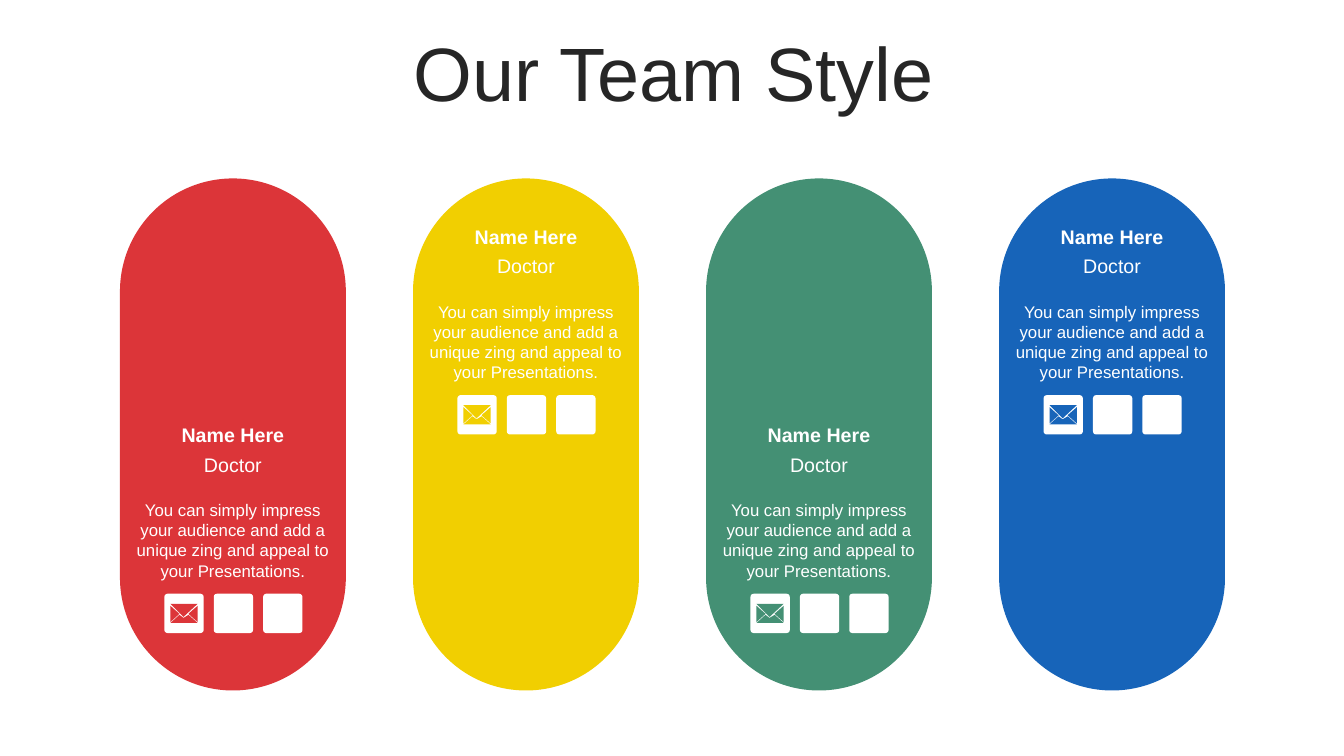
import pptx
import pptx.dml.color
import pptx.enum.shapes
import pptx.enum.text
import pptx.util

Inches = pptx.util.Inches
Pt = pptx.util.Pt
ROUNDED = pptx.enum.shapes.MSO_SHAPE.ROUNDED_RECTANGLE
TOP = pptx.enum.text.MSO_ANCHOR.TOP
MIDDLE = pptx.enum.text.MSO_ANCHOR.MIDDLE

COLORS = {"red": "DC3539", "yellow": "F1CF01", "green": "449074",
          "blue": "1764B9", "white": "FFFFFF", "title": "262626"}
TITLE = "Our Team Style"
ABOUT = ("You can simply impress your audience and add a unique zing "
         "and appeal to your Presentations.")

# Card colour and top of the member's text, in inches
CARDS = [("red", 4.18), ("yellow", 2.21), ("green", 4.18), ("blue", 2.21)]
# Text, offset from the text top, height, size, bold, anchor
LINES = [("Name Here", 0, 0.27, 14, True, MIDDLE),
         ("Doctor", 0.29, 0.27, 14, False, MIDDLE),
         (ABOUT, 0.73, 0.91, 12, False, TOP)]
# Envelope parts, in hundredths of an inch from the tile corner
ENVELOPE = [
    [(24, 21), (19, 24), (15, 21), (6, 29), (33, 29)],
    [(33, 12), (25, 19), (24, 20), (33, 28)],
    [(6, 12), (6, 28), (15, 20)],
    [(6, 10), (19, 23), (33, 10)],
]

CARD_LEFT, CARD_TOP, CARD_WIDTH, CARD_HEIGHT = 1.19, 1.77, 2.24, 5.08
CARD_STEP = (9.91 - CARD_LEFT) / 3
TILE_COUNT, TILE_SIZE, TILE_STEP = 3, 0.39, 0.49
TILE_LEFT, TILE_TOP = 0.44, 1.71


def color(name):
    return pptx.dml.color.RGBColor.from_string(COLORS[name])


def paint(shape, name):
    shape.shadow.inherit = False
    shape.fill.solid()
    shape.fill.fore_color.rgb = color(name)
    shape.line.fill.background()


def add_rounded(page, left, top, width, height, radius, name):
    """Radius is a share of the shorter side."""
    shape = page.shapes.add_shape(
        ROUNDED, Inches(left), Inches(top), Inches(width), Inches(height))
    shape.adjustments[0] = radius
    paint(shape, name)


def write(box, text, size, name, bold=False, anchor=MIDDLE):
    frame = box.text_frame
    frame.word_wrap = True
    frame.vertical_anchor = anchor
    para = frame.paragraphs[0]
    para.text = text
    para.alignment = pptx.enum.text.PP_ALIGN.CENTER
    para.font.name = "Arial"
    para.font.size = Pt(size)
    para.font.bold = bold
    para.font.color.rgb = color(name)
    return para


def add_envelope(page, left, top, name):
    first, *others = ENVELOPE
    builder = page.shapes.build_freeform(*first[0], scale=Inches(0.01))
    builder.add_line_segments(first[1:], close=True)
    for part in others:
        builder.move_to(*part[0])
        builder.add_line_segments(part[1:], close=True)
    paint(builder.convert_to_shape(Inches(left), Inches(top)), name)


def add_member(page, left, top, name):
    add_rounded(page, left, CARD_TOP, CARD_WIDTH, CARD_HEIGHT, 0.5, name)
    for text, offset, height, size, bold, anchor in LINES:
        box = page.shapes.add_textbox(
            Inches(left), Inches(top + offset), Inches(CARD_WIDTH), Inches(height))
        write(box, text, size, "white", bold, anchor)
    for index in range(TILE_COUNT):
        add_rounded(page, left + TILE_LEFT + index * TILE_STEP, top + TILE_TOP,
                    TILE_SIZE, TILE_SIZE, 0.08, "white")
    add_envelope(page, left + TILE_LEFT, top + TILE_TOP, name)


def main():
    deck = pptx.Presentation()
    deck.slide_width, deck.slide_height = Inches(13.33), Inches(7.5)
    page = deck.slides.add_slide(deck.slide_layouts[5])

    title = page.shapes.title
    title.left, title.top = Inches(0.35), Inches(0.37)
    title.width, title.height = Inches(12.66), Inches(0.79)
    write(title, TITLE, 54, "title").line_spacing = 0.9
    title.text_frame.auto_size = pptx.enum.text.MSO_AUTO_SIZE.NONE

    for index, (name, top) in enumerate(CARDS):
        add_member(page, CARD_LEFT + index * CARD_STEP, top, name)
    deck.save("out.pptx")


if __name__ == "__main__":
    main()
